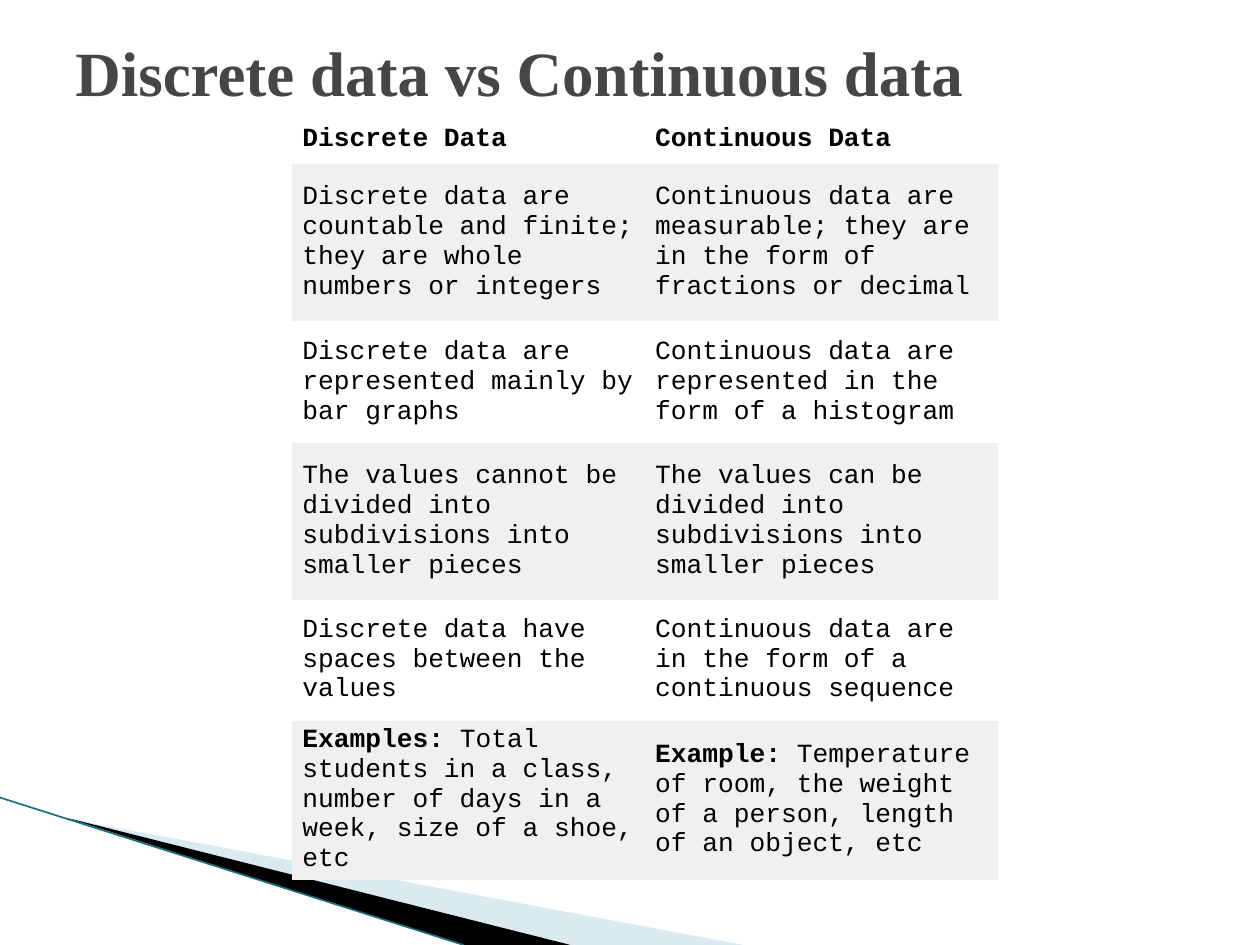
from lxml import etree
from pptx import Presentation
from pptx.dml.color import RGBColor
from pptx.enum.shapes import MSO_CONNECTOR
from pptx.enum.text import MSO_ANCHOR
from pptx.oxml.ns import qn
from pptx.util import Inches, Pt

MIDDLE = MSO_ANCHOR.MIDDLE
STRAIGHT = MSO_CONNECTOR.STRAIGHT

# Content
TITLE = "Discrete data vs Continuous data"
# Each cell: (bold text, regular text)
ROWS = [
    [("Discrete Data", ""), ("Continuous Data", "")],
    [("", "Discrete data are countable and finite; they are whole numbers or integers"),
     ("", "Continuous data are measurable; they are in the form of fractions or decimal")],
    [("", "Discrete data are represented mainly by bar graphs"),
     ("", "Continuous data are represented in the form of a histogram")],
    [("", "The values cannot be divided into subdivisions into smaller pieces"),
     ("", "The values can be divided into subdivisions into smaller pieces")],
    [("", "Discrete data have spaces between the values"),
     ("", "Continuous data are in the form of a continuous sequence")],
    [("Examples:", " Total students in a class, number of days in a week, size of a shoe, etc"),
     ("Example:", " Temperature of room, the weight of a person, length of an object, etc")],
]
ROW_HEIGHTS = [0.38, 1.25, 0.97, 1.24, 0.96, 1.26]
COL_WIDTH = 2.8
BANDS = ["FFFFFF", "F0F0F0"]

# Corner wedges: points, colour, opacity in percent
WEDGES = [
    ([(0.55, 6.5), (5.9, 7.5), (4.54, 7.5)], "A0CBDC", 40),
    ([(0.53, 6.49), (4.53, 7.5), (3.68, 7.5)], "000000", 100),
]


def rgb(color):
    return RGBColor.from_string(color)


def style(font, name, size, color):
    font.name, font.size = name, Pt(size)
    font.color.rgb = rgb(color)


def add_wedge(s, points, color, opacity):
    start, *rest = [(Inches(x), Inches(y)) for x, y in points]
    builder = s.shapes.build_freeform(*start)
    builder.add_line_segments(rest, close=True)
    sp = builder.convert_to_shape()
    sp.shadow.inherit = False
    sp.line.fill.background()
    sp.fill.solid()
    sp.fill.fore_color.rgb = rgb(color)
    if opacity < 100:
        clr = sp._element.spPr.find(".//" + qn("a:srgbClr"))
        etree.SubElement(clr, qn("a:alpha"), val=str(opacity * 1000))


def fill_cell(cell, bold, regular, color):
    cell.fill.solid()
    cell.fill.fore_color.rgb = rgb(color)
    cell.vertical_anchor = MIDDLE
    cell.margin_left = cell.margin_right = Inches(0.08)
    cell.margin_top = cell.margin_bottom = Inches(0.04)
    p = cell.text_frame.paragraphs[0]
    style(p.font, "Courier New", 15, "000000")
    for text, is_bold in ((bold, True), (regular, False)):
        if text:
            r = p.add_run()
            r.text = text
            r.font.bold = is_bold


prs = Presentation()
prs.slide_width, prs.slide_height = Inches(10), Inches(7.5)
s = prs.slides.add_slide(prs.slide_layouts[6])

# Corner decoration
for wedge in WEDGES:
    add_wedge(s, *wedge)
edge = s.shapes.add_connector(STRAIGHT, Inches(0), Inches(6.33), Inches(3.68), Inches(7.5))
edge.line.color.rgb = rgb("16707F")
edge.line.width = Pt(0.95)
etree.SubElement(edge._element.spPr, qn("a:effectLst"))

# Comparison table
frame = s.shapes.add_table(len(ROWS), 2, Inches(2.32), Inches(0.92),
                           Inches(2 * COL_WIDTH), Inches(sum(ROW_HEIGHTS)))
table = frame.table
for col in table.columns:
    col.width = Inches(COL_WIDTH)
for i, (row, height) in enumerate(zip(ROWS, ROW_HEIGHTS)):
    table.rows[i].height = Inches(height)
    for j, (bold, regular) in enumerate(row):
        fill_cell(table.cell(i, j), bold, regular, BANDS[i % 2])
# Plain "No Style, No Grid" look
table._tbl.tblPr.find(qn("a:tableStyleId")).text = "{2D5ABB26-0587-4C30-8999-92F81FD0307C}"

# Title
tf = s.shapes.add_textbox(Inches(0.5), Inches(0.3), Inches(7.73), Inches(0.54)).text_frame
tf.word_wrap = True
tf.vertical_anchor = MIDDLE
p = tf.paragraphs[0]
p.text = TITLE
style(p.font, "Times New Roman", 36, "464646")
p.font.bold = True

prs.save("out.pptx")
